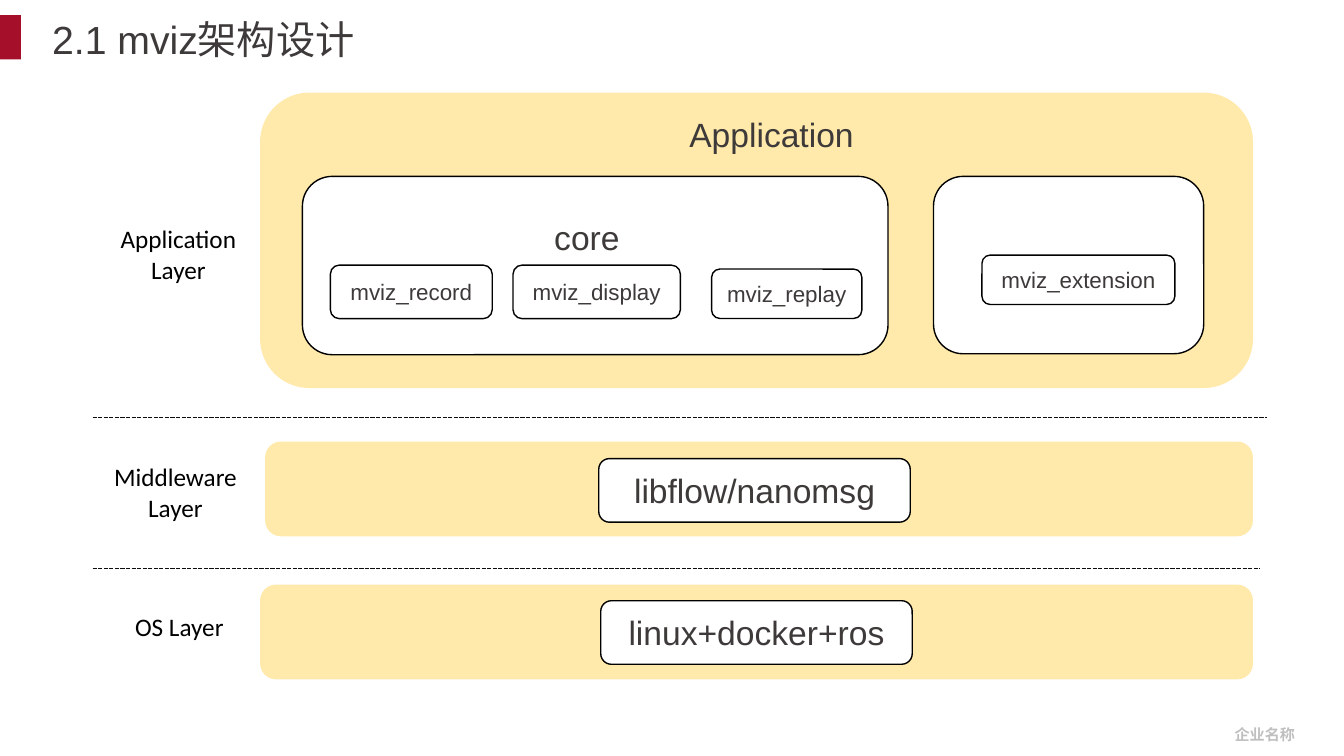
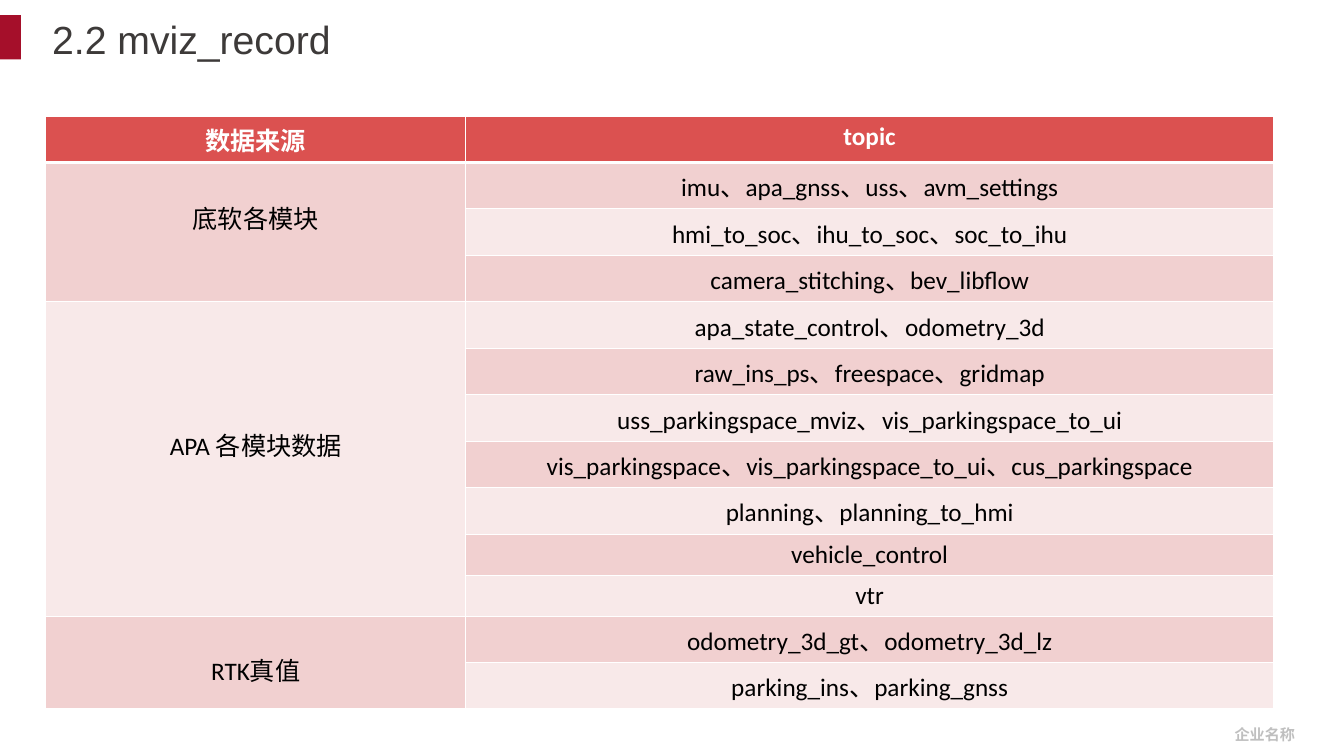
from dataclasses import dataclass

from lxml.etree import SubElement
from pptx import Presentation
from pptx.dml.color import RGBColor
from pptx.enum.dml import MSO_LINE
from pptx.enum.shapes import MSO_CONNECTOR, MSO_SHAPE
from pptx.enum.text import MSO_ANCHOR, PP_ALIGN
from pptx.oxml.ns import qn
from pptx.util import Pt


@dataclass(frozen=True)
class Theme:
    accent: str = "A50F2A"
    ink: str = "3D3A39"
    black: str = "000000"
    rule: str = "0D0D0D"
    white: str = "FFFFFF"
    muted: str = "BFBFBF"
    band: str = "FFD966"
    header: str = "DB5150"
    stripes: tuple = ("F1D0D0", "F8E9E9")
    heading_font: str = "Arial"
    body_font: str = "Calibri"
    footer_font: str = "Lato"
    title_size: float = 28
    large: float = 24
    body: float = 18
    small: float = 16
    footer: float = 10.8
    band_alpha: int = 55


T = Theme()

SOURCES = [
    ("底软各模块", 3.6, 25, [
        "imu、apa_gnss、uss、avm_settings",
        "hmi_to_soc、ihu_to_soc、soc_to_ihu",
        "camera_stitching、bev_libflow",
    ]),
    ("APA 各模块数据", 3.6, 25, [
        "apa_state_control、odometry_3d",
        "raw_ins_ps、freespace、gridmap",
        "uss_parkingspace_mviz、vis_parkingspace_to_ui",
        "vis_parkingspace、vis_parkingspace_to_ui、cus_parkingspace",
        "planning、planning_to_hmi",
        "vehicle_control",
        "vtr",
    ]),
    ("RTK真值", 13.6, 3.6, [
        "odometry_3d_gt、odometry_3d_lz",
        "parking_ins、parking_gnss",
    ]),
]


def rgb(color):
    return RGBColor.from_string(color)


def place(box, x, y, w, h):
    return box[0] + x, box[1] + y, w, h


def write(tf, text, size, color, font, align=None, bold=False):
    tf.text = text
    for p in tf.paragraphs:
        p.alignment = align
        for r in p.runs:
            r.font.size = Pt(size)
            r.font.name = font
            r.font.bold = bold
            r.font.color.rgb = rgb(color)


def add_text(s, box, text, size, color, font, align=None, bold=False,
             anchor=MSO_ANCHOR.TOP, wrap=True):
    tf = s.shapes.add_textbox(*map(Pt, box)).text_frame
    tf.word_wrap = wrap
    tf.vertical_anchor = anchor
    write(tf, text, size, color, font, align, bold)


def add_box(s, box, fill, line=None, kind=MSO_SHAPE.ROUNDED_RECTANGLE):
    sp = s.shapes.add_shape(kind, *map(Pt, box))
    sp.shadow.inherit = False
    sp.fill.solid()
    sp.fill.fore_color.rgb = rgb(fill)
    if line:
        sp.line.color.rgb = rgb(line)
        sp.line.width = Pt(1)
    else:
        sp.line.fill.background()
    return sp


def add_module(s, box, text="", size=T.small):
    sp = add_box(s, box, T.white, T.black)
    if text:
        tf = sp.text_frame
        tf.word_wrap = True
        tf.vertical_anchor = MSO_ANCHOR.MIDDLE
        write(tf, text, size, T.ink, T.heading_font, PP_ALIGN.CENTER)


def add_band(s, box):
    sp = add_box(s, box, T.band)
    color = sp.fill._xPr.find(qn("a:solidFill"))[0]
    SubElement(color, qn("a:alpha")).set("val", str(T.band_alpha * 1000))


def add_divider(s, x, y, width):
    line = s.shapes.add_connector(MSO_CONNECTOR.STRAIGHT,
                                  *map(Pt, (x, y, x + width, y)))
    line.line.color.rgb = rgb(T.rule)
    line.line.width = Pt(1)
    line.line.dash_style = MSO_LINE.SQUARE_DOT
    SubElement(line._element.spPr, qn("a:effectLst"))


def add_layer_name(s, box, text):
    add_text(s, box, text, T.body, T.black, T.body_font, PP_ALIGN.CENTER,
             wrap=False)


def new_slide(prs, title):
    s = prs.slides.add_slide(prs.slide_layouts[6])
    add_box(s, (0, 10.8, 15, 31.7), T.accent, kind=MSO_SHAPE.RECTANGLE)
    add_text(s, (874.8, 509.8, 61.2, 30.2), "企业名称", T.footer, T.muted,
             T.footer_font, bold=True, anchor=MSO_ANCHOR.MIDDLE)
    add_text(s, (30.2, 6.5, 761, 41.8), title, T.title_size, T.ink,
             T.heading_font, anchor=MSO_ANCHOR.MIDDLE)
    return s


def core_panel(s, box):
    add_module(s, box)
    add_text(s, place(box, 172.8, 25.2, 82, 36), "core", T.large, T.ink,
             T.heading_font)
    for text, x, y, w, h in [
        ("mviz_record", 20, 63.4, 115.6, 38.2),
        ("mviz_display", 150.5, 63.4, 119.5, 38.2),
        ("mviz_replay", 292.3, 66.2, 107.3, 35.3),
    ]:
        add_module(s, place(box, x, y, w, h), text)


def extension_panel(s, box):
    add_module(s, box)
    add_module(s, place(box, 34.6, 56.2, 137.8, 35.3), "mviz_extension")


def application_layer(s, box):
    add_band(s, box)
    add_text(s, place(box, 299.5, 11.6, 154.8, 36), "Application", T.large,
             T.ink, T.heading_font)
    core_panel(s, place(box, 30.2, 59.8, 418.3, 127.4))
    extension_panel(s, place(box, 481, 59.8, 193, 126.7))
    add_layer_name(s, place(box, -109.5, 90, 102.2, 51.1),
                   "Application\nLayer")


def single_layer(s, box, name, module, module_box, name_box):
    add_band(s, box)
    add_module(s, place(box, *module_box), module, T.large)
    add_layer_name(s, place(box, *name_box), name)


def architecture_slide(prs):
    s = new_slide(prs, "2.1 mviz架构设计")
    application_layer(s, (185.8, 66.2, 709.2, 211))
    single_layer(s, (189.4, 315.4, 705.6, 67.7), "Middleware\nLayer",
                 "libflow/nanomsg", (238.3, 12.2, 222.5, 45.4),
                 (-117.4, 10.8, 106.6, 51.1))
    single_layer(s, (185.8, 417.6, 709.2, 67.7), "OS Layer",
                 "linux+docker+ros", (243.3, 11.5, 222.5, 45.4),
                 (-103, 15.8, 90.7, 28.8))
    add_divider(s, 66.2, 298.1, 838.8)
    add_divider(s, 66.2, 406.1, 833.8)


def fill_cell(cell, text, fill, color=T.black, bold=False, top=1, bottom=1):
    cell.fill.solid()
    cell.fill.fore_color.rgb = rgb(fill)
    if text:
        write(cell.text_frame, text, T.body, color, T.body_font,
              PP_ALIGN.CENTER, bold)
    tc_pr = cell._tc.get_or_add_tcPr()
    widths = {"a:lnL": 1, "a:lnR": 1, "a:lnT": top, "a:lnB": bottom}
    for i, (tag, width) in enumerate(widths.items()):
        ln = SubElement(tc_pr, qn(tag), w=str(Pt(width)))
        color_fill = SubElement(ln, qn("a:solidFill"))
        SubElement(color_fill, qn("a:srgbClr"), val=T.white)
        tc_pr.insert(i, ln)


def topic_table(s, x, y, col_widths):
    topics = [topic for source in SOURCES for topic in source[3]]
    heights = [33] + [33.2 if "、" in topic else 29.3 for topic in topics]
    box = (x, y, sum(col_widths), sum(heights))
    table = s.shapes.add_table(len(heights), 2, *map(Pt, box)).table
    table.horz_banding = False
    for col, width in zip(table.columns, col_widths):
        col.width = Pt(width)
    for row, height in zip(table.rows, heights):
        row.height = Pt(height)
    for c, text in enumerate(("数据来源", "topic")):
        fill_cell(table.cell(0, c), text, T.header, T.white, True, bottom=3)

    row = 1
    for name, top_inset, bottom_inset, group in SOURCES:
        first = row
        group_fill = T.stripes[(first - 1) % 2]
        for topic in group:
            edge = 3 if row == 1 else 1
            fill_cell(table.cell(row, 0), name if row == first else "",
                      group_fill, top=edge)
            fill_cell(table.cell(row, 1), topic, T.stripes[(row - 1) % 2],
                      top=edge)
            row += 1
        cell = table.cell(first, 0)
        cell.merge(table.cell(row - 1, 0))
        cell.vertical_anchor = MSO_ANCHOR.MIDDLE
        cell.margin_top = Pt(top_inset)
        cell.margin_bottom = Pt(bottom_inset)


def record_slide(prs):
    s = new_slide(prs, "2.2 mviz_record")
    topic_table(s, 32.6, 83, (300.2, 576.8))


def main():
    prs = Presentation()
    prs.slide_width = Pt(960)
    prs.slide_height = Pt(540)
    architecture_slide(prs)
    record_slide(prs)
    prs.save("out.pptx")


if __name__ == "__main__":
    main()
